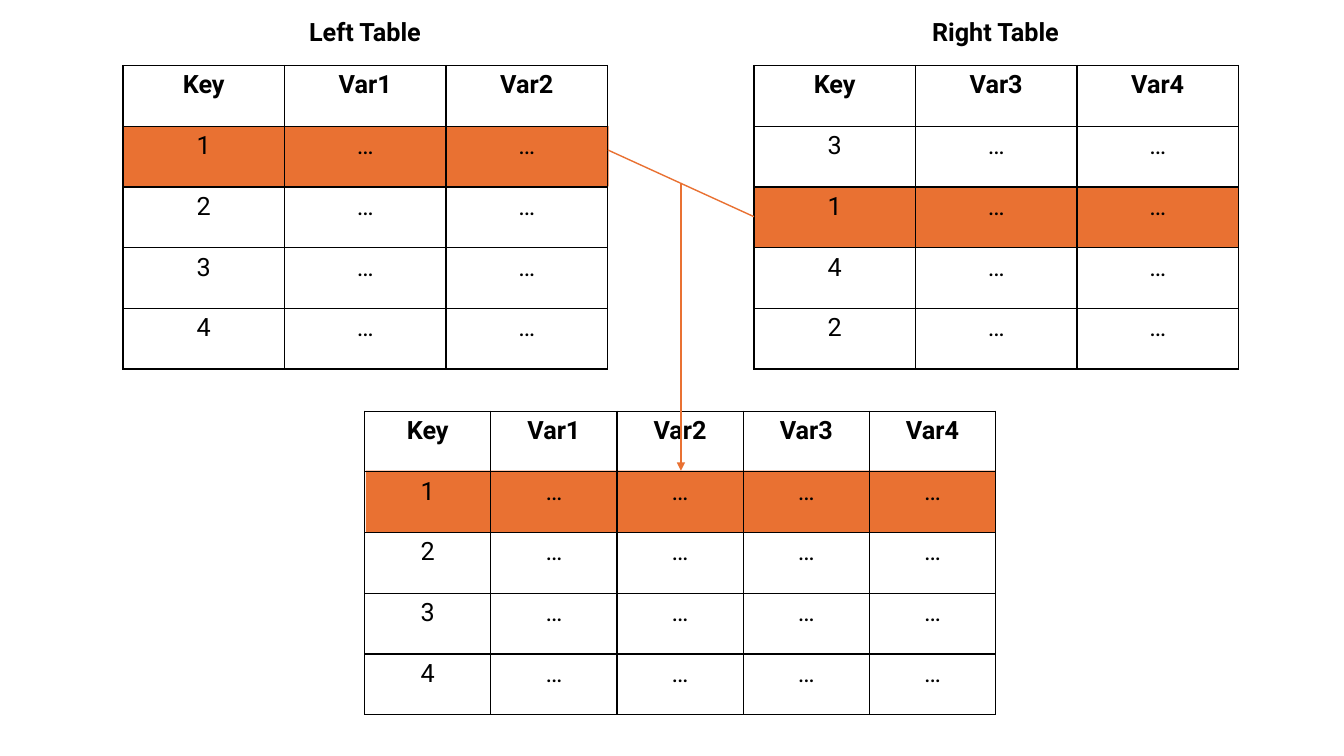
from lxml import etree
from pptx import Presentation
from pptx.dml.color import RGBColor
from pptx.enum.shapes import MSO_CONNECTOR, MSO_SHAPE
from pptx.enum.text import MSO_AUTO_SIZE, PP_ALIGN
from pptx.oxml import parse_xml
from pptx.oxml.ns import nsdecls, qn
from pptx.util import Cm, Pt

BLACK = RGBColor(0x00, 0x00, 0x00)
ORANGE = RGBColor(0xE9, 0x71, 0x32)
FONT = "Roboto"
ROW_HEIGHT = 1.53


def style_text(paragraph, bold):
    paragraph.font.name = FONT
    paragraph.font.size = Pt(18)
    paragraph.font.bold = bold
    paragraph.font.color.rgb = BLACK


def add_orange_line(start, end, width):
    line = slide.shapes.add_connector(
        MSO_CONNECTOR.STRAIGHT, *(Cm(value) for value in start + end))
    line.line.color.rgb = ORANGE
    line.line.width = Pt(width)
    etree.SubElement(line._element.spPr, qn("a:effectLst"))
    return line


prs = Presentation()
prs.slide_width = Cm(33.87)
prs.slide_height = Cm(19.05)
slide = prs.slides.add_slide(prs.slide_layouts[6])

# Bands behind the matching rows: left, top, width, height
bands = []
for left, top, width, height in [
    (9.22, 11.86, 15.88, 1.57),
    (3.12, 3.18, 12.22, 1.52),
    (19, 4.7, 12.22, 1.52),
]:
    band = slide.shapes.add_shape(
        MSO_SHAPE.RECTANGLE, Cm(left), Cm(top), Cm(width), Cm(height))
    band.fill.solid()
    band.fill.fore_color.rgb = ORANGE
    band.line.fill.background()
    band.shadow.inherit = False
    bands.append(band)
joined_band, left_band, right_band = bands

# Tables: left, top, column width, variables, keys
for left, top, column_width, variables, keys in [
    (3.1, 1.65, 4.07, ["Var1", "Var2"], "1234"),
    (19, 1.65, 4.07, ["Var3", "Var4"], "3142"),
    (9.19, 10.36, 3.18, ["Var1", "Var2", "Var3", "Var4"], "1234"),
]:
    rows = [["Key"] + variables]
    rows += [[key] + ["…"] * len(variables) for key in keys]
    columns = len(rows[0])
    table = slide.shapes.add_table(
        len(rows), columns, Cm(left), Cm(top),
        Cm(column_width * columns), Cm(ROW_HEIGHT * len(rows))).table
    table.first_row = False
    table.horz_banding = False
    for column in table.columns:
        column.width = Cm(column_width)
    for r, row in enumerate(rows):
        table.rows[r].height = Cm(ROW_HEIGHT)
        for c, entry in enumerate(row):
            cell = table.cell(r, c)
            cell.text = entry
            paragraph = cell.text_frame.paragraphs[0]
            paragraph.alignment = PP_ALIGN.CENTER
            style_text(paragraph, bold=r == 0)
            properties = cell._tc.get_or_add_tcPr()
            for side in ("lnL", "lnR", "lnT", "lnB"):
                properties.append(parse_xml(
                    f'<a:{side} {nsdecls("a")} w="{Pt(1)}"><a:solidFill>'
                    f'<a:srgbClr val="{BLACK}"/></a:solidFill></a:{side}>'))
            cell.fill.background()

# Table headings
for heading, left, width in [("Left Table", 7.54, 3.33), ("Right Table", 23.24, 3.71)]:
    frame = slide.shapes.add_textbox(Cm(left), Cm(0.28), Cm(width), Cm(1.02)).text_frame
    frame.word_wrap = False
    frame.auto_size = MSO_AUTO_SIZE.SHAPE_TO_FIT_TEXT
    frame.text = heading
    style_text(frame.paragraphs[0], bold=True)

# The key match and the arrow to the joined row
match = add_orange_line((15.32, 3.78), (19, 5.44), 1)
match.end_connect(right_band, 1)
arrow = add_orange_line((17.16, 4.6), (17.16, 11.86), 1.5)
arrow.end_connect(joined_band, 0)
etree.SubElement(arrow.line._get_or_add_ln(), qn("a:tailEnd"), type="triangle")

prs.save("out.pptx")
